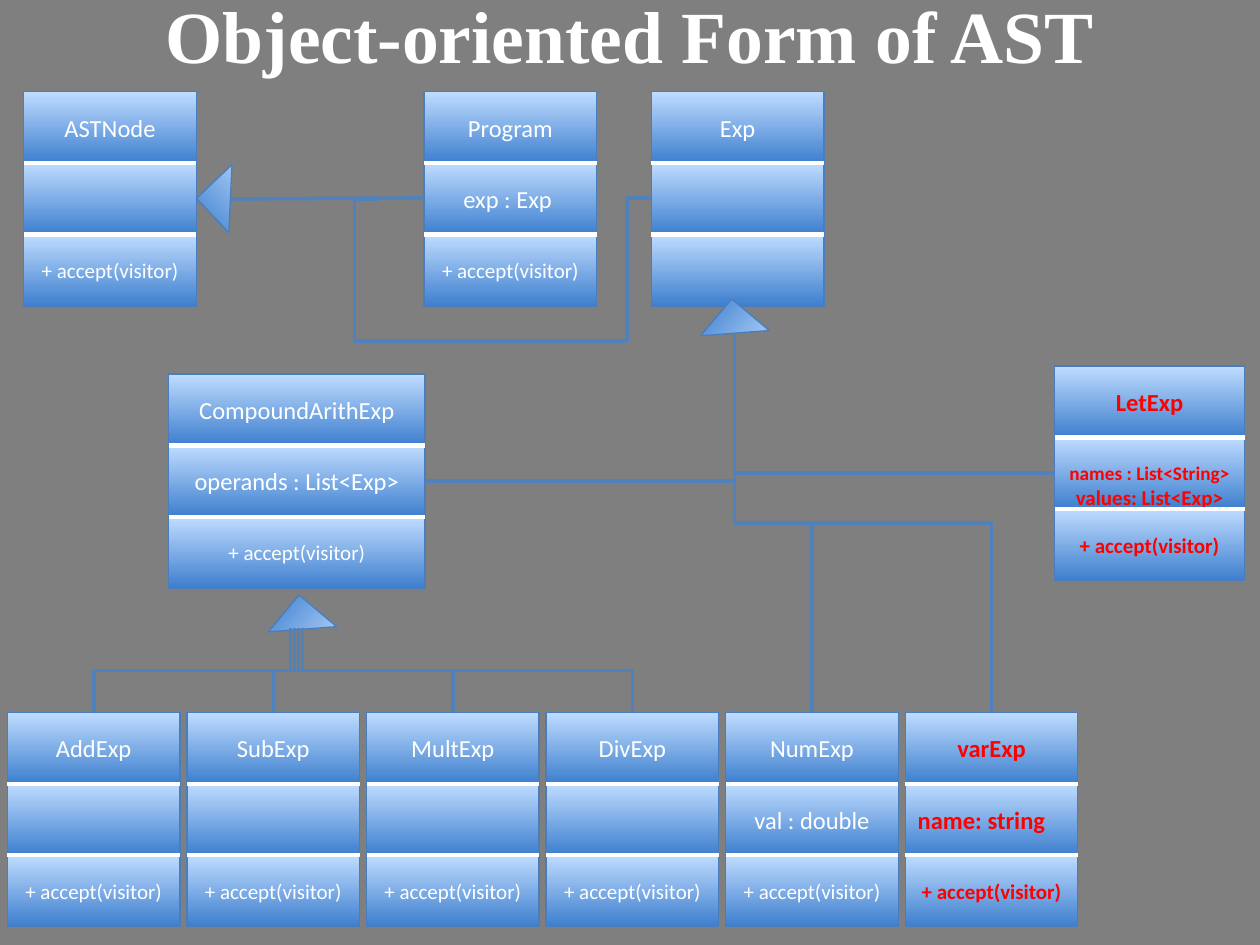
from dataclasses import dataclass

from lxml.etree import SubElement
from pptx import Presentation
from pptx.dml.color import RGBColor as Rgb
from pptx.enum.shapes import MSO_CONNECTOR as Wire, MSO_SHAPE as Preset
from pptx.enum.text import MSO_ANCHOR as Anchor, PP_ALIGN as Align
from pptx.oxml.ns import qn
from pptx.util import Cm, Pt


@dataclass(frozen=True)
class Theme:
    background = Rgb.from_string("7F7F7F")
    dark = Rgb.from_string("3E7FCE")
    light = Rgb.from_string("BFDCFF")
    edge = Rgb.from_string("4A7DBB")
    wire = Rgb.from_string("4F81BD")
    white = Rgb.from_string("FFFFFF")
    red = Rgb.from_string("FF0000")
    title_font, body_font = "Times New Roman", "Calibri"
    title_size, name_size, method_size, small_size = 42, 14, 12, 11
    edge_width, wire_width, rule_width = 0.75, 2, 2.5


@dataclass
class Box:
    """Position and size in centimetres."""
    left: float
    top: float
    width: float = 3.48
    height: float = 4.32

    @property
    def right(self):
        return self.left + self.width

    @property
    def center(self):
        return self.left + self.width / 2

    @property
    def middle(self):
        return self.top + self.height / 2

    def lengths(self):
        return [Cm(v) for v in (self.left, self.top, self.width, self.height)]


theme = Theme()
ACCEPT = "+ accept(visitor)"


def format_para(para, font, size, color, bold=False, align=Align.CENTER):
    para.alignment = align
    for span in para.runs:
        span.font.name, span.font.size = font, Pt(size)
        span.font.color.rgb, span.font.bold = color, bold


def add_blue(shapes, preset, box):
    """Preset shape with the blue gradient and a thin edge."""
    shape = shapes.add_shape(preset, *box.lengths())
    shape.shadow.inherit = False
    shape.fill.gradient()
    shape.fill.gradient_angle = 90
    for stop, color, position in zip(shape.fill.gradient_stops,
                                     (theme.dark, theme.light), (0, 1)):
        stop.color.rgb, stop.position = color, position
    shape.line.color.rgb = theme.edge
    shape.line.width = Pt(theme.edge_width)
    return shape


def add_line(shapes, start, end, color, width, kind=Wire.STRAIGHT):
    line = shapes.add_connector(kind, *[Cm(v) for v in (*start, *end)])
    line.line.color.rgb, line.line.width = color, Pt(width)
    SubElement(line._element.spPr, qn("a:effectLst"))
    return line


def add_bend(shapes, start, end, down=False, corner=False, bend=None):
    """Elbow wire; down leaves start vertically, corner turns only once."""
    if down:
        # A quarter turn needs the unrotated frame around the same centre
        (x1, y1), (x2, y2) = start, end
        x, y = (x1 + x2) / 2, (y1 + y2) / 2
        half_run, half_rise = (y2 - y1) / 2, (x1 - x2) / 2
        start, end = (x - half_run, y - half_rise), (x + half_run, y + half_rise)
    wire = add_line(shapes, start, end, theme.wire, theme.wire_width, Wire.ELBOW)
    properties = wire._element.spPr
    geometry = properties.find(qn("a:prstGeom"))
    if down:
        properties.find(qn("a:xfrm")).set("rot", str(90 * 60000))
    if corner:
        geometry.set("prst", "bentConnector2")
    if bend is not None:
        guide = SubElement(geometry.find(qn("a:avLst")), qn("a:gd"))
        guide.set("name", "adj1")
        guide.set("fmla", f"val {round(bend * 100000)}")


def add_title(page, box, text):
    title = page.shapes.title
    title.left, title.top, title.width, title.height = box.lengths()
    frame = title.text_frame
    frame.text = text
    frame.vertical_anchor = Anchor.BOTTOM
    format_para(frame.paragraphs[0], theme.title_font, theme.title_size,
                theme.white, True)


def add_class(page, box, name, fields="", method=ACCEPT, new=False):
    """UML class of three equal compartments; new classes are bold red."""
    shapes = page.shapes.add_group_shape().shapes
    step = box.height / 3
    color = theme.red if new else theme.white
    sizes = (theme.name_size, theme.name_size, theme.method_size)
    cells = []
    for row, (text, size) in enumerate(zip((name, fields, method), sizes)):
        part = Box(box.left, box.top + row * step, box.width, step)
        cell = add_blue(shapes, Preset.RECTANGLE, part)
        frame = cell.text_frame
        frame.word_wrap, frame.vertical_anchor = True, Anchor.MIDDLE
        if text:
            frame.text = text
        for para in frame.paragraphs:
            format_para(para, theme.body_font, size, color, new)
        cells.append(cell)
    for row in (1, 2):
        y = box.top + row * step
        add_line(shapes, (box.left, y), (box.right, y), theme.white, theme.rule_width)
    return cells


def add_arrowhead(page, box, angle):
    add_blue(page.shapes, Preset.RIGHT_TRIANGLE, box).rotation = angle


def add_node_tree(page, node, program, exp):
    """ASTNode with its subclasses Program and Exp."""
    add_class(page, node, "ASTNode")
    add_class(page, program, "Program", "exp : Exp ")
    add_class(page, exp, "Exp", method="")
    add_arrowhead(page, Box(node.right + 0.21, 3.51, 0.95, 0.99), 46.5)
    add_line(page.shapes, (node.right + 0.69, node.middle),
             (program.left, program.middle - 0.02), theme.wire, theme.wire_width)
    turn = (exp.left - 0.49, 6.88)
    add_bend(page.shapes, (exp.left, exp.middle - 0.02), turn, corner=True)
    add_bend(page.shapes, turn, (7.65, node.middle), bend=1.1)


def add_arithmetic_tree(page, parent, children):
    """CompoundArithExp with its four operators."""
    add_class(page, parent, "CompoundArithExp", "operands : List<Exp>")
    add_arrowhead(page, Box(parent.left + 2.21, 12.19, 0.97, 0.99), 130)
    names = ("AddExp", "SubExp", "MultExp", "DivExp")
    for index, (name, child) in enumerate(zip(names, children)):
        add_class(page, child, name)
        add_bend(page.shapes, (parent.left + 2.7 - 0.08 * index, 12.67),
                 (child.center, child.top), down=True)


def add_expression_tree(page, exp, compound, number, variable, let):
    """Subclasses of Exp: the leaves, LetExp and the wires up to Exp."""
    add_class(page, number, "NumExp", "val : double")
    cells = add_class(page, variable, "varExp", "name: string", new=True)
    cells[1].text_frame.paragraphs[0].alignment = Align.LEFT
    cells = add_class(page, let, "LetExp", "names : List<String>\nvalues: List<Exp>",
                      new=True)
    frame = cells[1].text_frame
    frame.margin_top, frame.margin_bottom = Cm(0.5), 0
    for para, size in zip(frame.paragraphs, (theme.small_size, theme.method_size)):
        para.runs[0].font.size = Pt(size)
    add_arrowhead(page, Box(exp.left + 1.2, 6.22, 0.97, 0.99), 130)
    hub = (exp.left + 1.68, 6.72)
    for leaf in (number, variable):
        add_bend(page.shapes, hub, (leaf.center, leaf.top), down=True)
    for end in ((compound.right, compound.middle), (let.left, let.middle)):
        add_bend(page.shapes, hub, end, down=True, corner=True)


def main():
    deck = Presentation()
    deck.slide_width, deck.slide_height = Cm(25.4), Cm(19.05)
    page = deck.slides.add_slide(deck.slide_layouts[5])
    page.background.fill.solid()
    page.background.fill.fore_color.rgb = theme.background

    node, program, exp = [Box(left, 1.85) for left in (0.48, 8.55, 13.13)]
    compound = Box(3.4, 7.54, 5.17)
    let = Box(21.26, 7.38, 3.83)
    *operators, number, variable = [Box(0.15 + 3.62 * i, 14.36) for i in range(6)]

    add_title(page, Box(0, 0, 25.4, 1.7), "Object-oriented Form of AST")
    add_node_tree(page, node, program, exp)
    add_arithmetic_tree(page, compound, operators)
    add_expression_tree(page, exp, compound, number, variable, let)
    deck.save("out.pptx")


if __name__ == "__main__":
    main()
